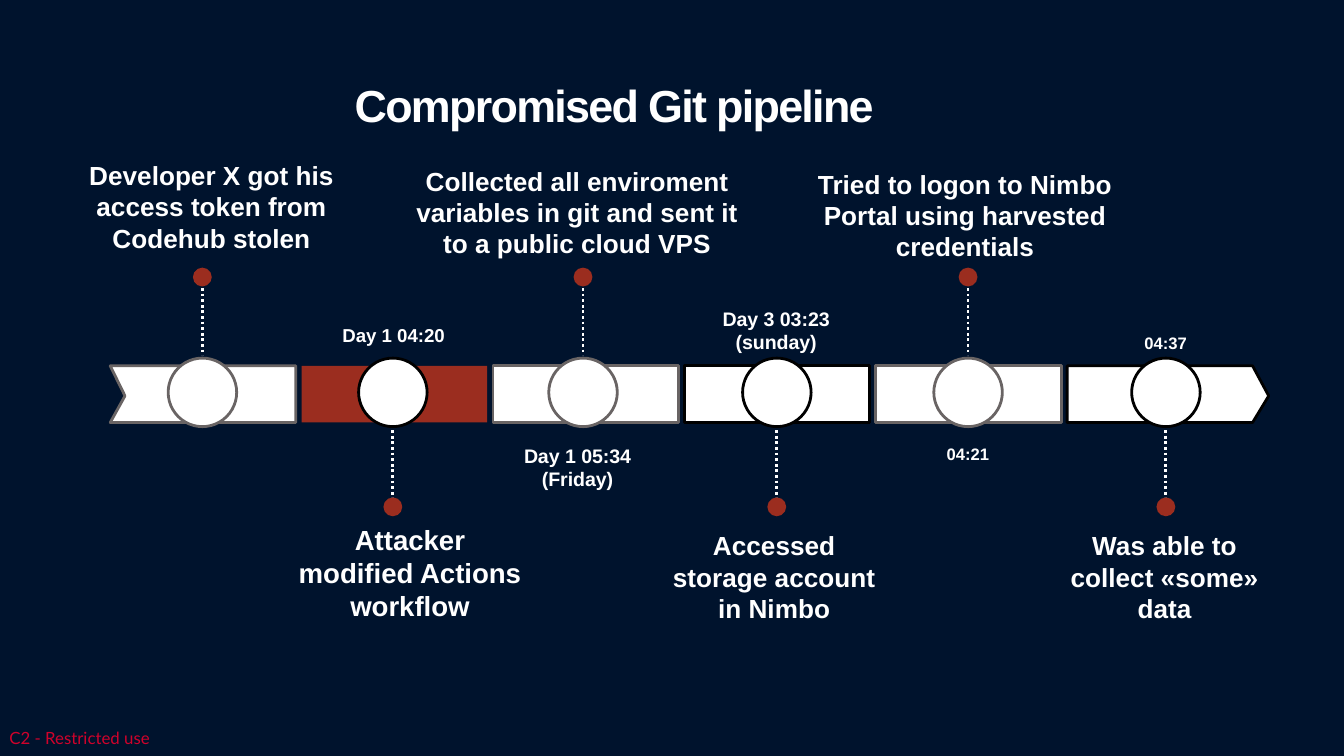
from dataclasses import dataclass
from typing import Optional

from lxml import etree
from pptx import Presentation
from pptx import util as u
from pptx.dml.color import RGBColor
from pptx.enum import dml, shapes, text
from pptx.oxml.ns import qn

SLIDE_W = u.Inches(10)
SLIDE_H = SLIDE_W * 9 // 16
NAVY, WHITE, BLACK, GRAY, RUST, CRIMSON = (
    "00132D", "FFFFFF", "000000", "696464", "9B2D1F", "CF022B")

# Shares of the slide's width and height, in percent
BAND_LEFT, BAND_PITCH, BLOCK_W = 8.2, 14.24, 13.8
BAND_TOP, BAND_H = 48.4, 7.5
NOTCH, TIP = 1.1, 1.2
RING, DOT = 5.1, 1.4
RING_Y = 51.9
STEM_ABOVE, STEM_BELOW = (38.1, 47), (56.9, 65.8)
DOT_ABOVE, DOT_BELOW = 36.65, 67.05


@dataclass
class Label:
    wording: str
    left: float
    top: float
    width: float
    height: float
    size: float = 14


@dataclass
class Milestone:
    center: float
    event: Label
    time: Optional[Label] = None


MILESTONES = [
    Milestone(15.06, Label("Developer X got his access token from Codehub stolen",
                           3.94, 20.2, 23.6, 16.2)),
    Milestone(29.23, Label("Attacker modified Actions workflow",
                           20.9, 68.3, 19.2, 16.5, 14.8),
              Label("Day 1 04:20", 23.83, 42, 10.9, 4.6, 10)),
    Milestone(43.38, Label("Collected all enviroment variables in git and sent it "
                           "to a public cloud VPS", 29.95, 20.95, 26, 16.2),
              Label("Day 1 05:34 (Friday)", 36.68, 57.8, 12.6, 8.2, 10.5)),
    Milestone(57.8, Label("Accessed storage account in Nimbo",
                          48.4, 69.2, 18.4, 16.5),
              Label("Day 3 03:23 (sunday)", 51.46, 39.7, 12.6, 8.2, 10.5)),
    Milestone(72.03, Label("Tried to logon to Nimbo Portal using harvested credentials",
                           58.9, 21.35, 25.8, 16.2),
              Label("04:21", 68.12, 57.8, 7.8, 4.1, 8.9)),
    Milestone(86.75, Label("Was able to collect «some» data",
                           78.35, 69.2, 16.6, 16.5),
              Label("04:37", 82.83, 43.2, 7.8, 4.1, 8.9)),
]


def across(share: float) -> int:
    return round(SLIDE_W * share / 100)


def down(share: float) -> int:
    return round(SLIDE_H * share / 100)


def color(hex_value: str) -> RGBColor:
    return RGBColor.from_string(hex_value)


def paint(shape, fill: str, outline: Optional[str] = None) -> None:
    shape.shadow.inherit = False
    shape.fill.solid()
    shape.fill.fore_color.rgb = color(fill)
    if outline:
        shape.line.color.rgb = color(outline)
        shape.line.width = u.Pt(1.5)
    else:
        shape.line.fill.background()


def add_label(slide, label: Label, font="Arial", ink=WHITE, bold=True,
              align=text.PP_ALIGN.CENTER, **frame_format):
    box = slide.shapes.add_textbox(across(label.left), down(label.top),
                                   across(label.width), down(label.height))
    for name, value in {"word_wrap": True, **frame_format}.items():
        setattr(box.text_frame, name, value)
    paragraph = box.text_frame.paragraphs[0]
    paragraph.alignment = align
    run = paragraph.add_run()
    run.text = label.wording
    for name, value in {"name": font, "size": u.Pt(label.size), "bold": bold}.items():
        setattr(run.font, name, value)
    run.font.color.rgb = color(ink)
    return paragraph


def add_circle(slide, center: float, middle: float, diameter: float,
               fill: str, outline: Optional[str] = None) -> None:
    side = across(diameter)
    circle = slide.shapes.add_shape(
        shapes.MSO_SHAPE.OVAL, across(center) - side // 2,
        down(middle) - side // 2, side, side)
    paint(circle, fill, outline)


def add_stem(slide, center: float, start: float, end: float) -> None:
    stem = slide.shapes.add_connector(shapes.MSO_CONNECTOR.STRAIGHT, across(center),
                                      down(start), across(center), down(end))
    stem.line.color.rgb = color(WHITE)
    stem.line.width = u.Pt(1.5)
    stem.line.dash_style = dml.MSO_LINE.ROUND_DOT
    etree.SubElement(stem._element.spPr, qn("a:effectLst"))


def add_block(slide, index: int, outline: str) -> None:
    """Draw one link of the band: notched first, pointed last, plain between."""
    left = BAND_LEFT + index * BAND_PITCH
    right, bottom = left + BLOCK_W, BAND_TOP + BAND_H
    middle = BAND_TOP + BAND_H * 0.53
    if 0 < index < len(MILESTONES) - 1:
        block = slide.shapes.add_shape(
            shapes.MSO_SHAPE.RECTANGLE, across(left), down(BAND_TOP),
            across(BLOCK_W), down(BAND_H))
    else:
        corners = [(left, BAND_TOP), (right, BAND_TOP), (right, bottom), (left, bottom)]
        if index == 0:
            corners.append((left + NOTCH, middle))
        else:
            corners.insert(2, (right + TIP, middle))
        points = [(across(x), down(y)) for x, y in corners]
        builder = slide.shapes.build_freeform(*points[0], scale=1.0)
        builder.add_line_segments(points[1:], close=True)
        block = builder.convert_to_shape()
    if index == 1:
        paint(block, RUST)
    else:
        paint(block, WHITE, outline)


def main() -> None:
    deck = Presentation()
    deck.slide_width, deck.slide_height = SLIDE_W, SLIDE_H
    slide = deck.slides.add_slide(deck.slide_layouts[6])
    slide.background.fill.solid()
    slide.background.fill.fore_color.rgb = color(NAVY)

    add_label(slide, Label("C2 - Restricted use", 0.7, 96.2, 11.3, 2.7, 9),
              font="Lato", ink=CRIMSON, bold=False, align=text.PP_ALIGN.LEFT,
              word_wrap=False, margin_left=0, margin_top=0,
              margin_right=0, margin_bottom=0)
    title = add_label(slide, Label("Compromised Git pipeline", 25.4, 10.2, 88.2, 8, 24),
                      align=text.PP_ALIGN.LEFT)
    title.line_spacing = 0.9
    title.runs[0].font._element.set("spc", "-90")

    for index in range(len(MILESTONES)):
        add_block(slide, index, GRAY if index % 2 == 0 else BLACK)
    for index, milestone in enumerate(MILESTONES):
        above = index % 2 == 0
        add_circle(slide, milestone.center, RING_Y, RING, WHITE, GRAY if above else BLACK)
        add_circle(slide, milestone.center, DOT_ABOVE if above else DOT_BELOW, DOT, RUST)
        add_stem(slide, milestone.center, *(STEM_ABOVE if above else STEM_BELOW))
        add_label(slide, milestone.event)
        if milestone.time:
            add_label(slide, milestone.time)
    deck.save("out.pptx")


if __name__ == "__main__":
    main()
